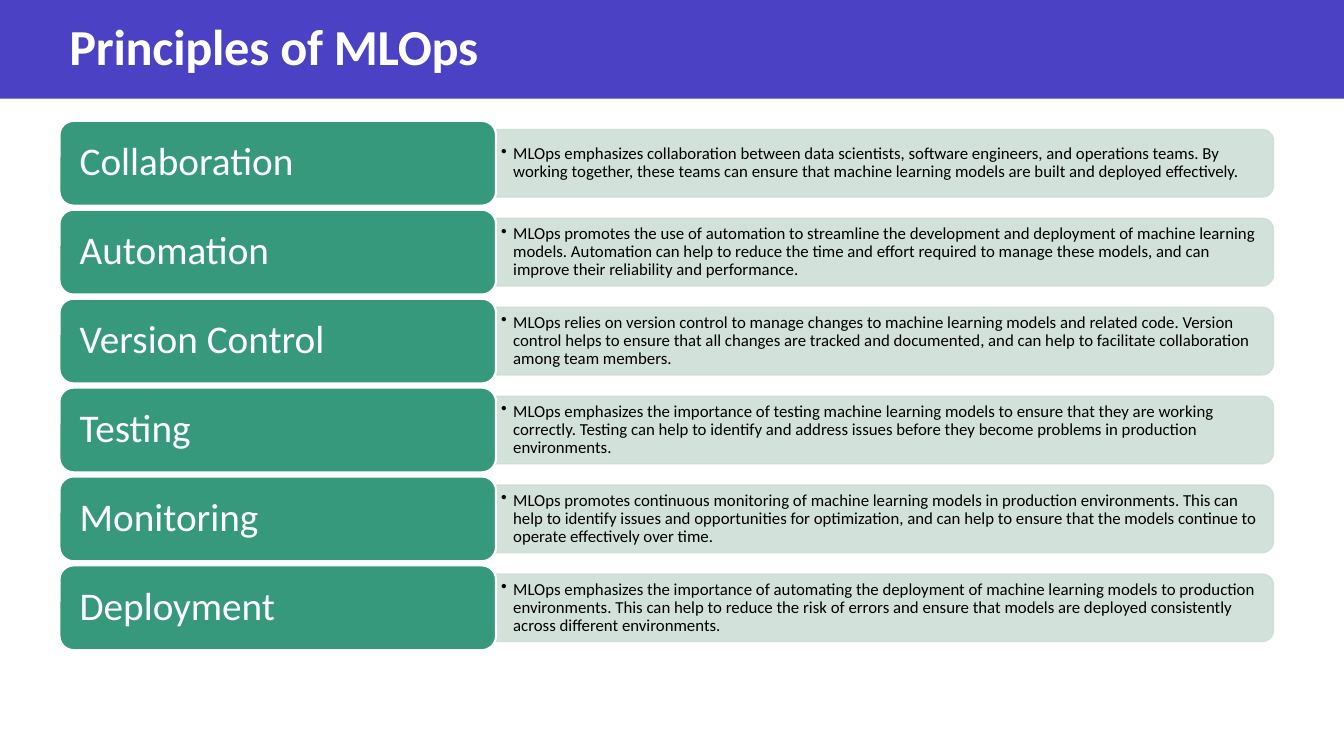
import pptx
import pptx.util
import pptx.dml.color
import pptx.enum.shapes
import pptx.enum.text
import pptx.oxml.ns
import lxml.etree

inch = pptx.util.Inches
kinds = pptx.enum.shapes.MSO_SHAPE
qn = pptx.oxml.ns.qn

THEME = {
    "font": "Calibri",
    "band": "4A41C5", "label": "37997B", "bar": "CEDED7",
    "light": "FFFFFF", "dark": "000000",
    "title size": 36, "label size": 28, "note size": 12,
}

ROWS = [
    ("Collaboration",
     "MLOps emphasizes collaboration between data scientists, software engineers, "
     "and operations teams. By working together, these teams can ensure that machine "
     "learning models are built and deployed effectively."),
    ("Automation",
     "MLOps promotes the use of automation to streamline the development and deployment "
     "of machine learning models. Automation can help to reduce the time and effort "
     "required to manage these models, and can improve their reliability and performance."),
    ("Version Control",
     "MLOps relies on version control to manage changes to machine learning models and "
     "related code. Version control helps to ensure that all changes are tracked and "
     "documented, and can help to facilitate collaboration among team members."),
    ("Testing",
     "MLOps emphasizes the importance of testing machine learning models to ensure that "
     "they are working correctly. Testing can help to identify and address issues before "
     "they become problems in production environments."),
    ("Monitoring",
     "MLOps promotes continuous monitoring of machine learning models in production "
     "environments. This can help to identify issues and opportunities for optimization, "
     "and can help to ensure that the models continue to operate effectively over time."),
    ("Deployment",
     "MLOps emphasizes the importance of automating the deployment of machine learning "
     "models to production environments. This can help to reduce the risk of errors and "
     "ensure that models are deployed consistently across different environments."),
]


def color(name):
    return pptx.dml.color.RGBColor.from_string(THEME[name])


def write(shape, text, size, ink, inset, bullet=False):
    """Fill a shape with one left-aligned, vertically centred paragraph."""
    frame = shape.text_frame
    frame.text = text
    frame.word_wrap = True
    frame.vertical_anchor = pptx.enum.text.MSO_ANCHOR.MIDDLE
    frame.margin_left = frame.margin_right = inch(inset)
    frame.margin_top = frame.margin_bottom = inch(inset / 2)
    para = frame.paragraphs[0]
    para.alignment = pptx.enum.text.PP_ALIGN.LEFT
    para.line_spacing = 0.9
    if bullet:
        props = para._p.get_or_add_pPr()
        props.set("marL", str(inch(0.12)))
        props.set("indent", str(-inch(0.12)))
        lxml.etree.SubElement(props, qn("a:buChar")).set("char", "•")
    run = para.runs[0]
    run.font.name = THEME["font"]
    run.font.size = pptx.util.Pt(THEME[size])
    run.font.color.rgb = color(ink)
    return run


deck = pptx.Presentation()
deck.slide_width, deck.slide_height = inch(13.33), inch(7.5)
slide = deck.slides.add_slide(deck.slide_layouts[6])
shapes = slide.shapes

# Title band
band = shapes.add_shape(kinds.RECTANGLE, 0, 0, deck.slide_width, inch(0.98))
band.shadow.inherit = False
band.fill.solid()
band.fill.fore_color.rgb = color("band")
band.line.fill.background()
title = shapes.add_textbox(inch(0.59), inch(0.15), inch(10.82), inch(0.67))
run = write(title, "Principles of MLOps", "title size", "light", 0.1)
run.font.bold = True
run._r.get_or_add_rPr().set("spc", "-20")

# Grid of principles: a label column and a note column
left, top = 0.59, 1.2
label_w, label_h = 4.33, 0.84
bar_w, bar_h = 7.71, 0.67
note_w, note_h = 7.67, 0.61
split = left + label_w
pitch = label_h * 1.05

for index, (name, note) in enumerate(ROWS):
    y = top + index * pitch
    middle = y + label_h / 2

    # The bar stands upright and is turned so its round corners face right
    bar = shapes.add_shape(
        kinds.ROUND_2_SAME_RECTANGLE,
        inch(split + (bar_w - bar_h) / 2), inch(middle - bar_w / 2),
        inch(bar_h), inch(bar_w))
    bar.rotation = 90
    bar.shadow.inherit = False
    bar.line.width = pptx.util.Pt(1)
    for paint in (bar.fill, bar.line.fill):
        paint.solid()
        paint.fore_color.rgb = color("bar")
    for tint in bar._element.spPr.iter(qn("a:srgbClr")):
        lxml.etree.SubElement(tint, qn("a:alpha")).set("val", "90000")

    box = shapes.add_textbox(inch(split), inch(middle - note_h / 2),
                             inch(note_w), inch(note_h))
    write(box, note, "note size", "dark", 0.05, bullet=True)

    label = shapes.add_shape(kinds.ROUNDED_RECTANGLE, inch(left), inch(y),
                             inch(label_w), inch(label_h))
    label.shadow.inherit = False
    label.fill.solid()
    label.fill.fore_color.rgb = color("label")
    label.line.color.rgb = color("light")
    label.line.width = pptx.util.Pt(1.5)
    write(label, name, "label size", "light", 0.16)

deck.save("out.pptx")
